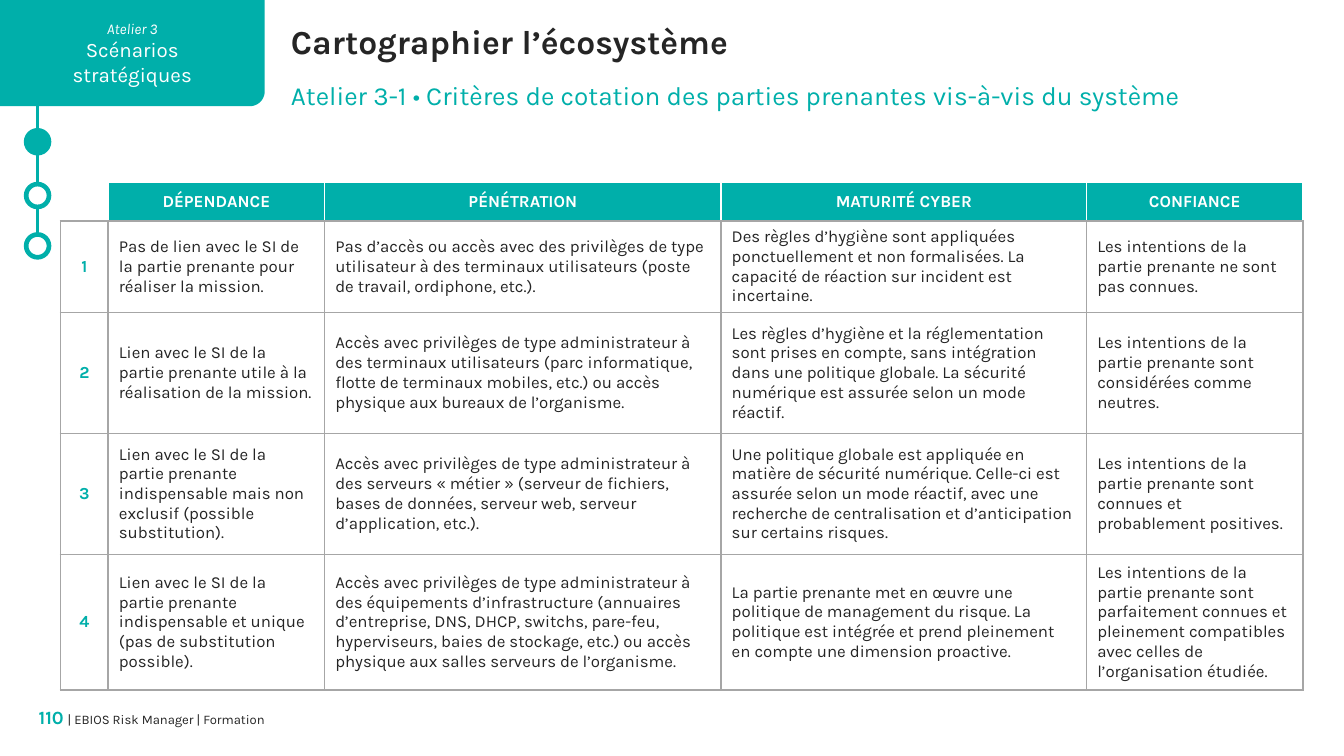
from math import cos, pi, sin
from lxml.etree import SubElement
from pptx import Presentation
from pptx.dml.color import RGBColor
from pptx.enum.shapes import MSO_CONNECTOR as Connector, MSO_SHAPE as Shape
from pptx.enum.text import MSO_ANCHOR as Anchor, MSO_AUTO_SIZE as AutoSize, PP_ALIGN as Align
from pptx.oxml.ns import qn
from pptx.util import Pt

PX = 4572
FONT = "Karla"
COLORS = {"teal": "00AFAA", "white": "FFFFFF", "ink": "252525", "gray": "A6A6A6", "dark": "323232"}

BADGE = [
    [("Atelier 3", {"size": 8, "italic": True})],
    [("Scénarios", {})],
    [("stratégiques", {})],
]
FOOTER = [[
    ("110", {"size": 10, "color": "teal", "bold": True}),
    (" ", {"size": 9, "color": "dark"}),
    ("| EBIOS Risk Manager | Formation", {}),
]]
TITLE = "Cartographier l’écosystème"
SUBTITLE = "Atelier 3-1 • Critères de cotation des parties prenantes vis-à-vis du système"
HEADERS = ["", "DÉPENDANCE", "PÉNÉTRATION", "MATURITÉ CYBER", "CONFIANCE"]
LEVELS = [
    ["1",
     "Pas de lien avec le SI de la partie prenante pour réaliser la mission.",
     "Pas d’accès ou accès avec des privilèges de type utilisateur à des terminaux utilisateurs (poste de travail, ordiphone, etc.).",
     "Des règles d’hygiène sont appliquées ponctuellement et non formalisées. La capacité de réaction sur incident est incertaine.",
     "Les intentions de la partie prenante ne sont pas connues."],
    ["2",
     "Lien avec le SI de la partie prenante utile à la réalisation de la mission.",
     "Accès avec privilèges de type administrateur à des terminaux utilisateurs (parc informatique, flotte de terminaux mobiles, etc.) ou accès physique aux bureaux de l’organisme.",
     "Les règles d’hygiène et la réglementation sont prises en compte, sans intégration dans une politique globale. La sécurité numérique est assurée selon un mode réactif.",
     "Les intentions de la partie prenante sont considérées comme neutres."],
    ["3",
     "Lien avec le SI de la partie prenante indispensable mais non exclusif (possible substitution).",
     "Accès avec privilèges de type administrateur à des serveurs « métier » (serveur de fichiers, bases de données, serveur web, serveur d’application, etc.).",
     "Une politique globale est appliquée en matière de sécurité numérique. Celle-ci est assurée selon un mode réactif, avec une recherche de centralisation et d’anticipation sur certains risques.",
     "Les intentions de la partie prenante sont connues et probablement positives."],
    ["4",
     "Lien avec le SI de la partie prenante indispensable et unique (pas de substitution possible).",
     "Accès avec privilèges de type administrateur à des équipements d’infrastructure (annuaires d’entreprise, DNS, DHCP, switchs, pare-feu, hyperviseurs, baies de stockage, etc.) ou accès physique aux salles serveurs de l’organisme.",
     "La partie prenante met en œuvre une politique de management du risque. La politique est intégrée et prend pleinement en compte une dimension proactive.",
     "Les intentions de la partie prenante sont parfaitement connues et pleinement compatibles avec celles de l’organisation étudiée."],
]
COLUMNS = [71, 322, 590, 544, 322]
ROWS = [58, 136, 180, 180, 202]
STEPS = [(194, "teal"), (274, "white"), (349, "white")]


def rgb(name):
    return RGBColor.from_string(COLORS[name])


def write(holder, lines, align=Align.LEFT, anchor=Anchor.TOP, insets=(0, 0), **style):
    holder.vertical_anchor = anchor
    holder.margin_left = holder.margin_right = insets[0] * PX
    holder.margin_top = holder.margin_bottom = insets[1] * PX
    frame = getattr(holder, "text_frame", holder)
    if isinstance(lines, str):
        lines = [[(lines, {})]]
    for index, spans in enumerate(lines):
        para = frame.add_paragraph() if index else frame.paragraphs[0]
        para.alignment = align
        for text, changes in spans:
            look = {"size": 9, "color": "ink", "bold": False, "italic": False, **style, **changes}
            span = para.add_run()
            span.text = text
            span.font.name = FONT
            span.font.size = Pt(look["size"])
            span.font.color.rgb = rgb(look["color"])
            span.font.bold = look["bold"]
            span.font.italic = look["italic"]


def add_text(page, place, lines, grow=False, **style):
    box = page.shapes.add_textbox(*(n * PX for n in place))
    frame = box.text_frame
    frame.word_wrap = True
    frame.auto_size = AutoSize.SHAPE_TO_FIT_TEXT if grow else AutoSize.NONE
    write(frame, lines, **style)


def add_timeline(page):
    line = page.shapes.add_connector(Connector.STRAIGHT, 56 * PX, 134 * PX, 56 * PX, 382 * PX)
    line.line.color.rgb = rgb("teal")
    line.line.width = Pt(1.25)
    SubElement(line._element.spPr, qn("a:effectLst"))
    for top, color in STEPS:
        step = page.shapes.add_shape(Shape.OVAL, 39 * PX, top * PX, 34 * PX, 34 * PX)
        step.shadow.inherit = False
        step.fill.solid()
        step.fill.fore_color.rgb = rgb(color)
        step.line.color.rgb = rgb("teal")
        step.line.width = Pt(2.5)


def add_badge(page, width=394, height=158, radius=22, parts=12):
    angles = [pi / 2 * part / parts for part in range(parts + 1)]
    corner = [(width - radius + radius * cos(a), height - radius + radius * sin(a)) for a in angles]
    outline = [(width, 0), *corner, (0, height)]
    builder = page.shapes.build_freeform(0, 0)
    builder.add_line_segments([(round(x * PX), round(y * PX)) for x, y in outline], close=True)
    badge = builder.convert_to_shape()
    badge.shadow.inherit = False
    badge.fill.solid()
    badge.fill.fore_color.rgb = rgb("teal")
    badge.line.fill.background()
    badge.text_frame.word_wrap = True
    write(badge.text_frame, BADGE, align=Align.CENTER, anchor=Anchor.MIDDLE,
          insets=(20, 10), size=11, color="white")


def set_borders(cell, colors):
    props = cell._tc.get_or_add_tcPr()
    for index, (side, color) in enumerate(zip("LRTB", colors)):
        line = SubElement(props, qn(f"a:ln{side}"), w=str(Pt(1)))
        fill = SubElement(line, qn("a:solidFill"))
        SubElement(fill, qn("a:srgbClr"), val=COLORS[color])
        props.insert(index, line)


def add_criteria(page):
    frame = page.shapes.add_table(len(ROWS), len(COLUMNS), 90 * PX, 271 * PX,
                                  sum(COLUMNS) * PX, sum(ROWS) * PX)
    table = frame.table
    table.first_row = table.horz_banding = False
    for column, width in zip(table.columns, COLUMNS):
        column.width = width * PX
    for row, height in zip(table.rows, ROWS):
        row.height = height * PX
    for r, texts in enumerate([HEADERS, *LEVELS]):
        for c, text in enumerate(texts):
            cell = table.cell(r, c)
            if r == 0 and text:
                cell.fill.solid()
                cell.fill.fore_color.rgb = rgb("teal")
            else:
                cell.fill.background()
            if not text:
                SubElement(cell.text_frame.paragraphs[0]._p, qn("a:endParaRPr"), sz="900")
            elif r == 0 or c == 0:
                write(cell, text, align=Align.CENTER, anchor=Anchor.MIDDLE, insets=(20, 10),
                      bold=True, color="teal" if r else "white")
            else:
                write(cell, text, anchor=Anchor.MIDDLE, insets=(16, 0))
            set_borders(cell, ["gray"] * 4 if r else ["white"] * 3 + ["gray"])


def main():
    deck = Presentation()
    deck.slide_width, deck.slide_height = 2000 * PX, 1125 * PX
    page = deck.slides.add_slide(deck.slide_layouts[6])
    add_timeline(page)
    add_badge(page)
    add_text(page, (40, 1050, 354, 40), FOOTER, align=Align.RIGHT, size=7)
    add_criteria(page)
    add_text(page, (433, 31, 1496, 60), TITLE, grow=True, size=18, bold=True)
    add_text(page, (433, 118, 1408, 48), SUBTITLE, grow=True, size=14, color="teal")
    deck.save("out.pptx")


if __name__ == "__main__":
    main()
